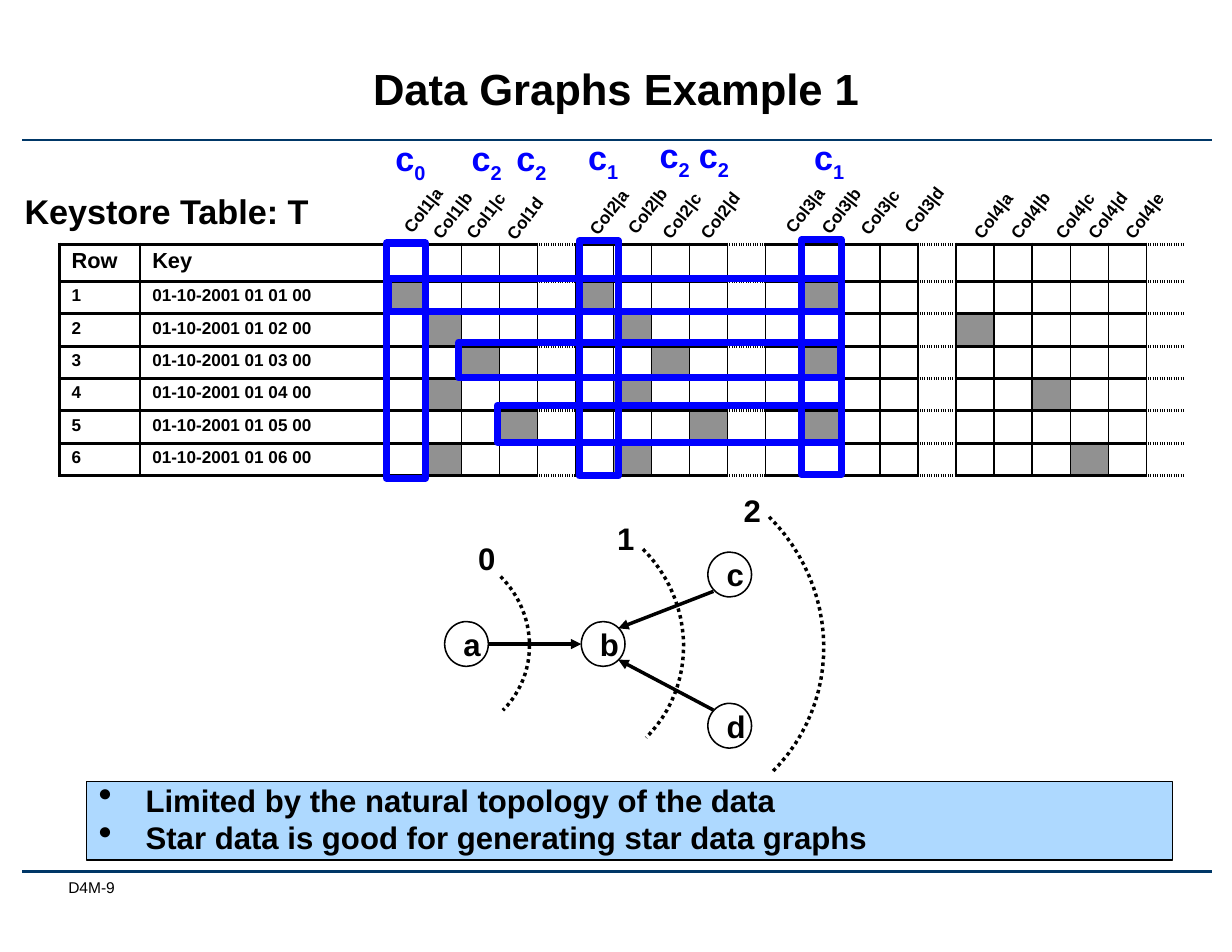
import math
from typing import NamedTuple, Optional

from lxml import etree
from pptx import Presentation
from pptx import util as u
from pptx.dml.color import RGBColor
from pptx.enum import dml, shapes, text
from pptx.oxml.ns import qn

COLORS = {"ink": "000000", "rule": "003767", "mark": "0000FF",
          "hit": "919191", "note": "AED9FF"}
WIDTH, HEIGHT = u.Inches(11), u.Inches(8.5)
GRID_COLS, GRID_ROWS = 110, 85
FONT = "Arial"


class Box(NamedTuple):
    """Left, top, width and height in grid columns and rows."""
    x: float
    y: float
    w: float
    h: float


class Label(NamedTuple):
    words: str
    x: float
    y: float
    sub: str = ""


class Line(NamedTuple):
    x1: float
    y1: float
    x2: float
    y2: float


class Hop(NamedTuple):
    label: Label
    arc: Box


# Table: shaded columns of each record, and the columns drawn dotted
HITS = [(2, 7, 13), (3, 8, 17), (4, 9, 13), (3, 8, 19), (5, 10, 13), (3, 8, 20)]
DOTTED = (6, 11, 16, 22)
COL_WIDTHS = [7.2, 21.9] + [3.4] * 21
ROW_HEIGHTS = [3.2] + [2.9] * 6

COLUMN_NAMES = [
    Label("Col1|a", 34.3, 17.2), Label("Col1|b", 36.9, 17.7),
    Label("Col1|c", 39.9, 17.7), Label("Col1d", 43.5, 17.8),
    Label("Col2|a", 50.9, 17.4), Label("Col2|b", 54.3, 17.3),
    Label("Col2|c", 57.4, 17.7), Label("Col2|d", 60.8, 17.7),
    Label("Col3|a", 68.4, 17.2), Label("Col3|b", 71.6, 17.3),
    Label("Col3|c", 75.1, 17.4), Label("Col3|d", 79, 17.2),
    Label("Col4|a", 85.2, 17.7), Label("Col4|b", 88.5, 17.7),
    Label("Col4|c", 92.5, 17.7), Label("Col4|d", 95.4, 17.7),
    Label("Col4|e", 98.7, 17.7)]
STEPS = [Label("c", 34.2, 11.7, "0"), Label("c", 41, 11.7, "2"),
         Label("c", 45, 11.7, "2"), Label("c", 51.4, 11.6, "1"),
         Label("c", 57.8, 11.4, "2"), Label("c", 61.3, 11.4, "2"),
         Label("c", 71.6, 11.6, "1")]
FRAMES = [Box(34.5, 21.7, 3.5, 21), Box(51.7, 21.5, 3.5, 21),
          Box(71.6, 21.4, 3.5, 21), Box(34.65, 24.85, 40.5, 3),
          Box(40.95, 30.55, 34.1, 3.2), Box(44.4, 36.2, 30.7, 3.3)]
NODES = [Label("a", 39.7, 55.5), Label("b", 51.9, 55.5),
         Label("c", 63.2, 49.3), Label("d", 63.2, 62.8)]
EDGES = [Line(43.6, 57.5, 51.9, 57.5), Line(63.7, 63.4, 55.2, 58.9),
         Line(63.7, 52.8, 55.2, 56.1)]
HOPS = [Hop(Label("0", 41.6, 47.6), Box(40.5, 53.3, 8.6, 8.3)),
        Hop(Label("1", 54, 45.8), Box(51.5, 51.6, 12.1, 11.7)),
        Hop(Label("2", 65.3, 43.3), Box(60.7, 49.6, 16.3, 15.8))]
RULES = [Line(2, 12.5, 108.2, 12.5), Line(2, 77.8, 108.2, 77.8)]
NOTES = ["Limited by the natural topology of the data",
         "Star data is good for generating star data graphs"]


def col(n: float) -> int:
    return round(WIDTH * n / GRID_COLS)


def row(n: float) -> int:
    return round(HEIGHT * n / GRID_ROWS)


def place(box: Box) -> tuple:
    return col(box.x), row(box.y), col(box.w), row(box.h)


def rgb(name: str) -> RGBColor:
    return RGBColor.from_string(COLORS[name])


def add_run(p, words: str, size: float, color: str = "ink", bold: bool = True):
    r = p.add_run()
    r.text = words
    r.font.name, r.font.size, r.font.bold = FONT, u.Pt(size), bold
    r.font.color.rgb = rgb(color)
    return r


def set_insets(target, x: float = 1.1, y: float = 0.6) -> None:
    target.margin_left = target.margin_right = col(x)
    target.margin_top = target.margin_bottom = row(y)


def set_spacing(p, lines: float):
    p.line_spacing = lines
    pPr = p._p.get_or_add_pPr()
    before = etree.SubElement(pPr, qn("a:spcBef"))
    etree.SubElement(before, qn("a:spcPct"), val="25000")
    return pPr


def add_label(s, label: Label, w: float, h: float, size: float,
              color: str = "ink", turn: float = 0) -> None:
    sp = s.shapes.add_textbox(*place(Box(label.x, label.y, w, h)))
    sp.rotation = turn
    tf = sp.text_frame
    tf.word_wrap = False
    set_insets(tf)
    p = tf.paragraphs[0]
    add_run(p, label.words, size, color)
    if label.sub:
        r = add_run(p, label.sub, size, color)
        r._r.get_or_add_rPr().set("baseline", "-25000")


def add_outline(s, kind, box: Box, width: float, color: str = "ink"):
    sp = s.shapes.add_shape(kind, *place(box))
    sp.shadow.inherit = False
    sp.fill.background()
    sp.line.color.rgb, sp.line.width = rgb(color), u.Pt(width)
    return sp


def add_line(s, line: Line, width: float, color: str, arrow: bool = False) -> None:
    c = s.shapes.add_connector(shapes.MSO_CONNECTOR.STRAIGHT, col(line.x1),
                               row(line.y1), col(line.x2), row(line.y2))
    c.line.color.rgb, c.line.width = rgb(color), u.Pt(width)
    if arrow:
        etree.SubElement(c.line._get_or_add_ln(), qn("a:tailEnd"), type="triangle")
    etree.SubElement(c._element.spPr, qn("a:effectLst"))


def add_arc(s, box: Box, steps: int = 24) -> None:
    """A dotted quarter ellipse, turned to face right."""
    angles = [math.pi / 2 * i / steps for i in range(steps + 1)]
    points = [(col(box.x + box.w * math.sin(a)),
               row(box.y + box.h * (1 - math.cos(a)))) for a in angles]
    fb = s.shapes.build_freeform(*points[0])
    fb.add_line_segments(points[1:], close=False)
    sp = fb.convert_to_shape()
    sp.shadow.inherit = False
    sp.fill.background()
    sp.line.color.rgb, sp.line.width = rgb("ink"), u.Pt(2.25)
    sp.line.dash_style = dml.MSO_LINE.ROUND_DOT
    sp.rotation = 45


def add_border(cell, side: str, width: Optional[float], dash: str = "solid") -> None:
    ln = etree.SubElement(cell._tc.get_or_add_tcPr(), qn(f"a:ln{side}"))
    if width is None:
        etree.SubElement(ln, qn("a:noFill"))
        return
    ln.set("w", str(u.Pt(width)))
    fill = etree.SubElement(ln, qn("a:solidFill"))
    etree.SubElement(fill, qn("a:srgbClr"), val=COLORS["ink"])
    etree.SubElement(ln, qn("a:prstDash"), val=dash)


def format_cell(cell, i: int, j: int) -> None:
    dash = "sysDot" if j in DOTTED else "solid"
    add_border(cell, "L", 2.25 if j == 0 else 1)
    add_border(cell, "R", None if j == len(COL_WIDTHS) - 1 else 1)
    add_border(cell, "T", 2.25, dash)
    add_border(cell, "B", 2.25, dash)
    if i and j in HITS[i - 1]:
        cell.fill.solid()
        cell.fill.fore_color.rgb = rgb("hit")
    else:
        cell.fill.background()
    p = cell.text_frame.paragraphs[0]
    if j < 2:
        set_insets(cell)
        set_spacing(p, 0.9)
        words = (str(i), f"01-10-2001 01 0{i} 00") if i else ("Row", "Key")
        add_run(p, words[j], 11 if i else 14)
    else:
        etree.SubElement(p._p, qn("a:endParaRPr"), sz="1100")


def add_records(s) -> None:
    box = Box(5.3, 21.8, sum(COL_WIDTHS), sum(ROW_HEIGHTS))
    table = s.shapes.add_table(len(ROW_HEIGHTS), len(COL_WIDTHS), *place(box)).table
    table.first_row = table.horz_banding = False
    for j, w in enumerate(COL_WIDTHS):
        table.columns[j].width = col(w)
    for i, h in enumerate(ROW_HEIGHTS):
        table.rows[i].height = row(h)
        for j in range(len(COL_WIDTHS)):
            format_cell(table.cell(i, j), i, j)


def add_notes(s) -> None:
    sp = add_outline(s, shapes.MSO_SHAPE.RECTANGLE, Box(7.7, 69.8, 97, 7), 0.75)
    sp.fill.solid()
    sp.fill.fore_color.rgb = rgb("note")
    tf = sp.text_frame
    tf.word_wrap, tf.vertical_anchor = True, text.MSO_ANCHOR.TOP
    set_insets(tf)
    for i, words in enumerate(NOTES):
        p = tf.add_paragraph() if i else tf.paragraphs[0]
        p.alignment = text.PP_ALIGN.LEFT
        pPr = set_spacing(p, 0.8)
        pPr.set("marL", str(col(4.2)))
        pPr.set("indent", str(-col(4.2)))
        etree.SubElement(pPr, qn("a:buSzPct"), val="125000")
        etree.SubElement(pPr, qn("a:buChar"), char="•")
        add_run(p, words, 20)


def main() -> None:
    prs = Presentation()
    prs.slide_width, prs.slide_height = WIDTH, HEIGHT
    s = prs.slides.add_slide(prs.slide_layouts[5])

    # Title, rules and page label
    title = s.shapes.title
    title.left, title.top, title.width, title.height = place(Box(11.3, 3.1, 87.4, 10.1))
    tf = title.text_frame
    tf.vertical_anchor = text.MSO_ANCHOR.MIDDLE
    set_insets(tf)
    p = tf.paragraphs[0]
    p.alignment, p.line_spacing = text.PP_ALIGN.CENTER, u.Pt(30)
    add_run(p, "Data Graphs Example 1", 28)
    for rule in RULES:
        add_line(s, rule, 1.75, "rule")
    tf = s.shapes.add_textbox(*place(Box(5.5, 78.4, 13.1, 2.7))).text_frame
    tf.word_wrap = True
    set_insets(tf, 0.6, 0)
    add_run(tf.paragraphs[0], "D4M-9", 10, bold=False)

    # Table with slanted column names
    add_records(s)
    for name in COLUMN_NAMES:
        add_label(s, name, 6.9, 3, 11, turn=307.6)
    add_label(s, Label("Keystore Table: T", 1.1, 16.4), 30.4, 4.9, 22)

    # Search steps over the table
    for frame in FRAMES:
        add_outline(s, shapes.MSO_SHAPE.RECTANGLE, frame, 4.5, "mark")
    for step in STEPS:
        add_label(s, step, 4.9, 4.7, 22, "mark")

    # Graph with its hops
    for node in NODES:
        sp = add_outline(s, shapes.MSO_SHAPE.OVAL, Box(node.x, node.y, 3.9, 4), 1)
        tf = sp.text_frame
        tf.word_wrap, tf.vertical_anchor = False, text.MSO_ANCHOR.MIDDLE
        set_insets(tf)
        p = tf.paragraphs[0]
        p.alignment = text.PP_ALIGN.LEFT
        add_run(p, node.words, 20)
    for edge in EDGES:
        add_line(s, edge, 2.25, "ink", arrow=True)
    for hop in HOPS:
        add_arc(s, hop.arc)
        add_label(s, hop.label, 3.8, 4.5, 20)

    add_notes(s)
    prs.save("out.pptx")


if __name__ == "__main__":
    main()
